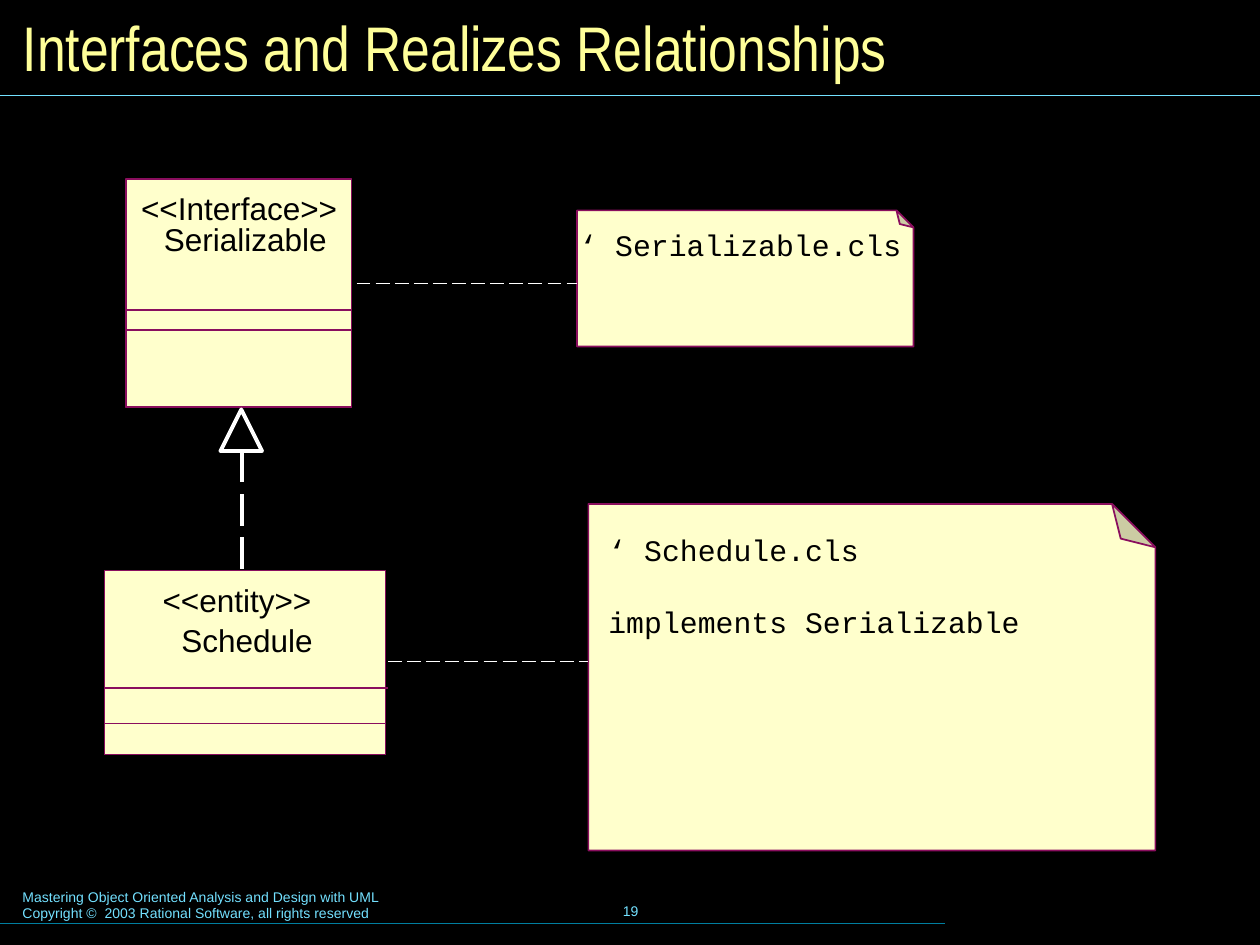
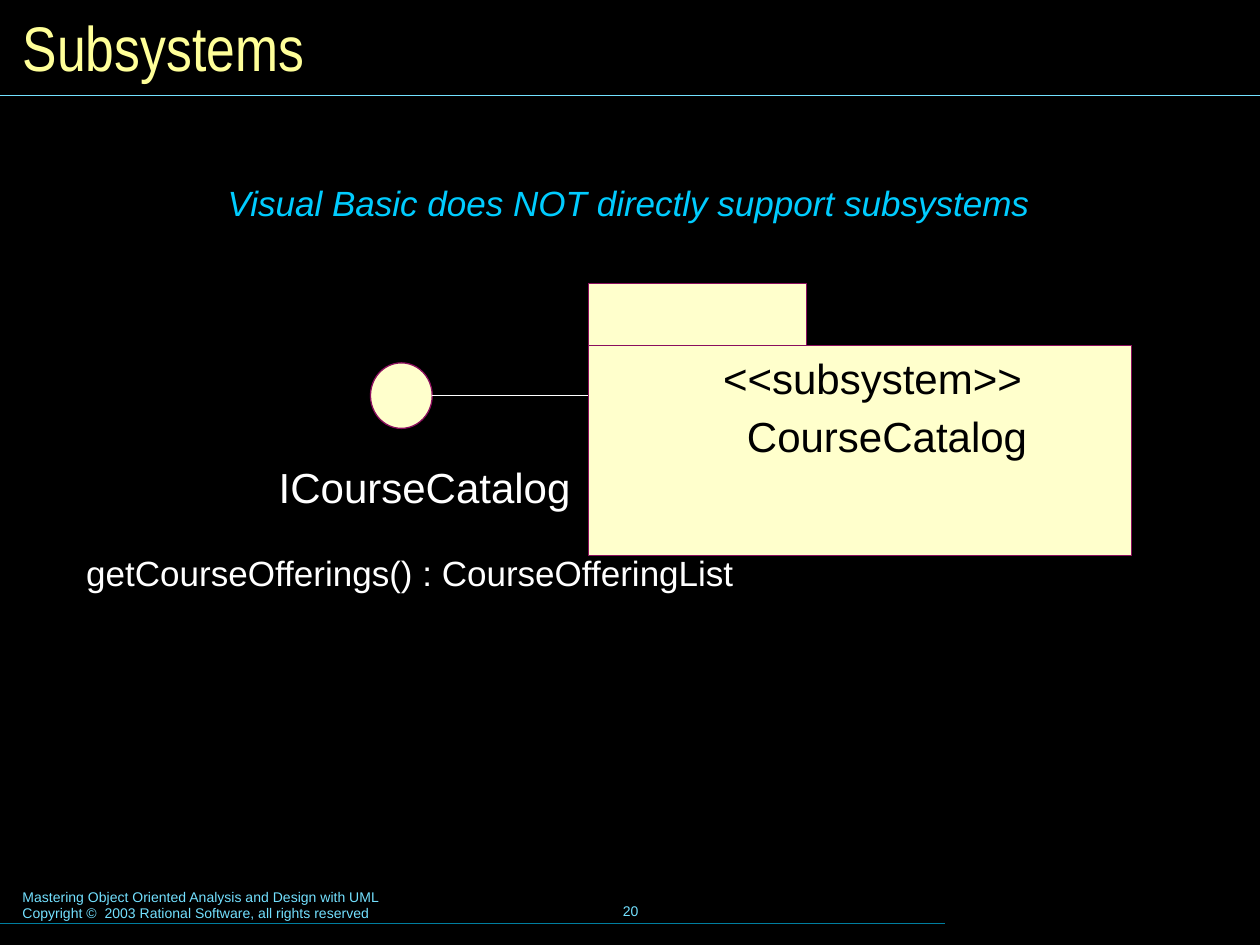
import lxml.etree
import pptx
import pptx.dml.color
import pptx.enum.dml
import pptx.enum.shapes
import pptx.enum.text
import pptx.oxml.ns
import pptx.util

Inches = pptx.util.Inches
Pt = pptx.util.Pt
KIND = pptx.enum.shapes.MSO_SHAPE
ALIGN = pptx.enum.text.PP_ALIGN
ANCHOR = pptx.enum.text.MSO_ANCHOR

HUES = {
    "back": "000000",
    "ink": "000000",
    "white": "FFFFFF",
    "title": "FFFF99",
    "sky": "73E1FF",
    "teal": "007E9F",
    "cyan": "00CCFF",
    "cream": "FFFFCC",
    "plum": "8A0E5E",
}

FONTS = {
    "title": {"name": "Arial Narrow", "size": Pt(36)},
    "foot": {"name": "Arial", "size": Pt(8)},
    "class": {"name": "Arial", "size": Pt(18)},
    "code": {"name": "Courier New", "size": Pt(17)},
    "large": {"name": "Arial", "size": Pt(24)},
    "method": {"name": "Arial", "size": Pt(20)},
    "remark": {"name": "Arial", "size": Pt(20), "italic": True},
}

FOOT = [
    "Mastering Object Oriented Analysis and Design with UML",
    "Copyright ©  2003 Rational Software, all rights reserved",
]


def tint(name):
    return pptx.dml.color.RGBColor.from_string(HUES[name])


def write(shape, lines, font, hue, align=ALIGN.LEFT, gap=0, pad=True,
          wrap=False, anchor=ANCHOR.TOP):
    """Fill a shape with one paragraph per line, gap points apart."""
    side, edge = (0.1, 0.05) if pad else (0, 0)
    frame = shape.text_frame
    form = {
        "auto_size": pptx.enum.text.MSO_AUTO_SIZE.NONE,
        "word_wrap": wrap,
        "vertical_anchor": anchor,
        "margin_left": Inches(side),
        "margin_right": Inches(side),
        "margin_top": Inches(edge),
        "margin_bottom": Inches(edge),
    }
    for key, value in form.items():
        setattr(frame, key, value)
    for i, line in enumerate(lines):
        para = frame.paragraphs[0] if i == 0 else frame.add_paragraph()
        para.alignment = align
        if i and gap:
            para.space_before = Pt(gap)
        run = para.add_run()
        run.text = line
        for key, value in FONTS[font].items():
            setattr(run.font, key, value)
        run.font.color.rgb = tint(hue)


def text(slide, box, lines, font, hue, **form):
    shape = slide.shapes.add_textbox(*map(Inches, box))
    write(shape, lines, font, hue, **form)


def label(slide, box, words, font, hue="ink", align=ALIGN.LEFT):
    text(slide, box, [words], font, hue, align=align, pad=False)


def solid(slide, kind, box, fill="cream", line="plum", width=0):
    shape = slide.shapes.add_shape(kind, *map(Inches, box))
    shape.shadow.inherit = False
    if fill:
        shape.fill.solid()
        shape.fill.fore_color.rgb = tint(fill)
    else:
        shape.fill.background()
    shape.line.color.rgb = tint(line)
    shape.line.width = Pt(width)
    return shape


def rule(slide, start, end, hue="white", width=1, dash=False):
    line = slide.shapes.add_connector(
        pptx.enum.shapes.MSO_CONNECTOR.STRAIGHT, *map(Inches, start + end))
    line.line.color.rgb = tint(hue)
    line.line.width = Pt(width)
    if dash:
        line.line.dash_style = pptx.enum.dml.MSO_LINE.LONG_DASH
    lxml.etree.SubElement(line._element.spPr,
                          pptx.oxml.ns.qn("a:effectLst"))


def note(slide, box):
    """Draw a sheet with its top right corner folded."""
    sheet = solid(slide, KIND.FOLDED_CORNER, box, width=1)
    props = sheet._element.spPr
    props.find(pptx.oxml.ns.qn("a:xfrm")).set("flipV", "1")
    geom = props.find(pptx.oxml.ns.qn("a:prstGeom"))
    fold = geom.find(pptx.oxml.ns.qn("a:avLst"))
    lxml.etree.SubElement(fold, pptx.oxml.ns.qn("a:gd"),
                          name="adj", fmla="val 12500")


def stack(slide, left, width, tops, base):
    """Draw boxes that all end at base, each over the one before."""
    for top in tops:
        solid(slide, KIND.RECTANGLE, (left, top, width, base - top))


def start(deck, title, page):
    """Add a slide with its title, rules and footer."""
    slide = deck.slides.add_slide(deck.slide_layouts[5])
    text(slide, (0.08, 7, 5.1, 0.37), FOOT, "foot", "sky", wrap=True)
    text(slide, (3.42, 6.98, 3.17, 0.5), [str(page)], "foot", "sky",
         align=ALIGN.CENTER, anchor=ANCHOR.MIDDLE)
    rule(slide, (0, 7.33), (7.5, 7.33), "teal", 0.75)
    rule(slide, (0, 0.76), (10, 0.76), "sky", 0.75)
    head = slide.shapes.title
    place = zip(("left", "top", "width", "height"), (0.08, 0.08, 9.84, 0.58))
    for key, value in place:
        setattr(head, key, Inches(value))
    write(head, [title], "title", "title", wrap=True, anchor=ANCHOR.MIDDLE)
    return slide


def realize(deck):
    slide = start(deck, "Interfaces and Realizes Relationships", 19)
    note(slide, (4.58, 1.67, 2.67, 1.08))
    note(slide, (4.67, 4, 4.5, 2.75))
    text(slide, (4.5, 1.75, 2.75, 0.4), ["‘ Serializable.cls"], "code", "ink")
    text(slide, (4.73, 4.17, 4.08, 1),
         ["‘ Schedule.cls", "implements Serializable"], "code", "ink",
         gap=21, wrap=True)

    stack(slide, 1, 1.79, (1.42, 2.46, 2.62), 3.23)
    label(slide, (1.12, 1.5, 1.56, 0.3), "<<Interface>>", "class")
    label(slide, (1.3, 1.75, 1.29, 0.3), "Serializable", "class")

    stack(slide, 0.83, 2.23, (4.53, 5.74), 5.99)
    rule(slide, (0.83, 5.46), (3.08, 5.46), "plum")
    label(slide, (1.29, 4.61, 1.18, 0.3), "<<entity>>", "class")
    label(slide, (1.44, 4.93, 1.04, 0.3), "Schedule", "class")

    rule(slide, (2.83, 2.25), (4.58, 2.25), dash=True)
    rule(slide, (3.08, 5.25), (4.67, 5.25), dash=True)
    solid(slide, KIND.ISOSCELES_TRIANGLE, (1.75, 3.25, 0.33, 0.33),
          fill=None, line="white", width=2.25)
    rule(slide, (1.92, 3.58), (1.92, 4.53), width=2.25, dash=True)


def subsys(deck):
    slide = start(deck, "Subsystems", 20)
    text(slide, (0.4, 1.39, 9.18, 0.44),
         ["Visual Basic does NOT directly support subsystems"],
         "remark", "cyan", align=ALIGN.CENTER, wrap=True)
    solid(slide, KIND.RECTANGLE, (4.67, 2.74, 4.31, 1.67))
    solid(slide, KIND.RECTANGLE, (4.67, 2.25, 1.73, 0.49), width=0.75)
    solid(slide, KIND.OVAL, (2.94, 2.88, 0.49, 0.52))
    rule(slide, (3.43, 3.14), (4.67, 3.14))
    for box, words, font, hue in (
        ((5.74, 2.8, 2.37, 0.4), "<<subsystem>>", "large", "ink"),
        ((5.93, 3.26, 2.22, 0.4), "CourseCatalog", "large", "ink"),
        ((2.21, 3.66, 2.32, 0.4), "ICourseCatalog", "large", "white"),
        ((0.68, 4.38, 5.15, 0.33),
         "getCourseOfferings() : CourseOfferingList", "method", "white"),
    ):
        label(slide, box, words, font, hue, ALIGN.CENTER)


def main():
    deck = pptx.Presentation()
    deck.slide_width = Inches(10)
    deck.slide_height = Inches(7.5)
    back = deck.slide_master.background.fill
    back.solid()
    back.fore_color.rgb = tint("back")
    realize(deck)
    subsys(deck)
    deck.save("out.pptx")


if __name__ == "__main__":
    main()
